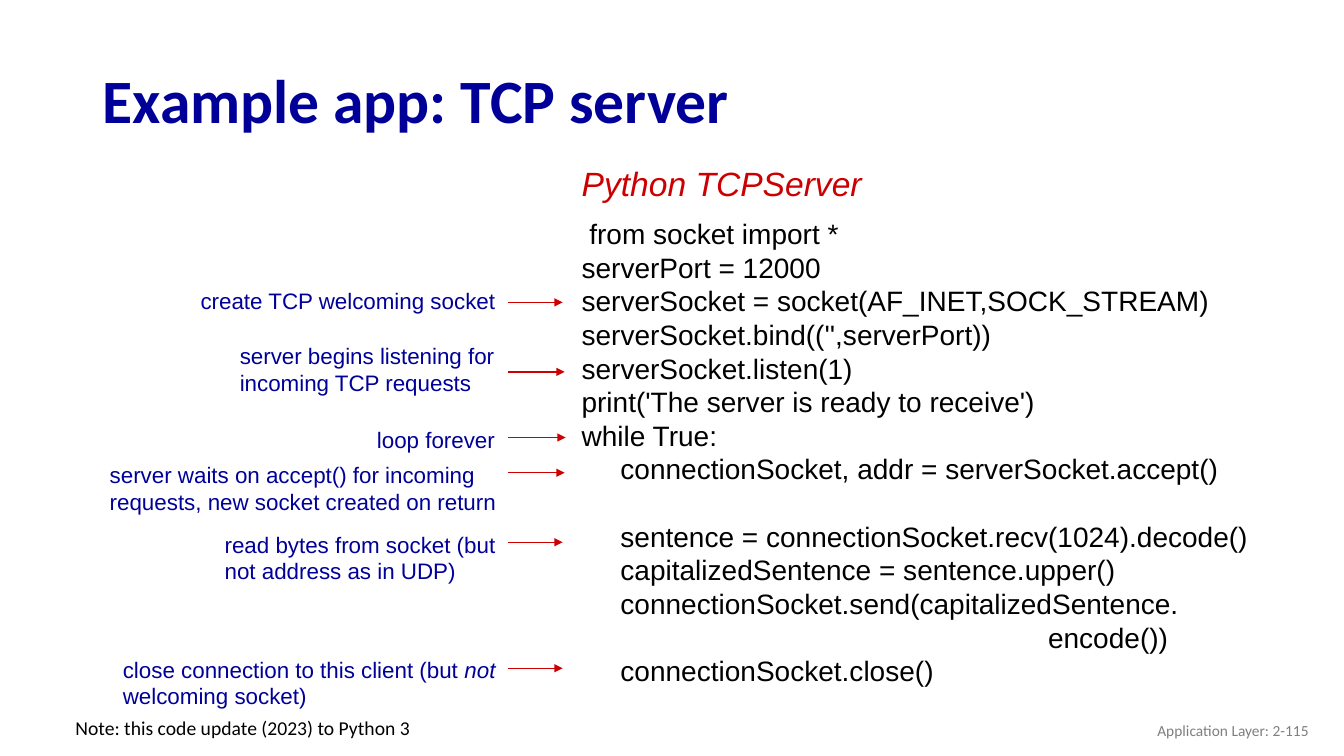
from dataclasses import dataclass

from lxml.etree import SubElement
from pptx import Presentation
from pptx.dml.color import RGBColor as RGB
from pptx.enum.shapes import MSO_CONNECTOR as Link
from pptx.enum.text import MSO_ANCHOR as Anchor, PP_ALIGN as Align
from pptx.oxml.ns import qn
from pptx.util import Inches, Pt

TITLE = "Example app: TCP server"
HEAD = "Python TCPServer"
CODE = """ from socket import *
serverPort = 12000
serverSocket = socket(AF_INET,SOCK_STREAM)
serverSocket.bind(('',serverPort))
serverSocket.listen(1)
print('The server is ready to receive')
while True:
     connectionSocket, addr = serverSocket.accept()
     sentence = connectionSocket.recv(1024).decode()
     capitalizedSentence = sentence.upper()
     connectionSocket.send(capitalizedSentence.
                                                            encode())
     connectionSocket.close()"""
GAP_ROW = 7  # the accept() line is followed by one free line

# text runs (every second one italic), left, width, arrow height, rise, arrow end
NOTES = [
    (["create TCP welcoming socket"], 1.89, 3.35, 3.0, 0.2, 5.58),
    (["server begins listening for incoming TCP requests"],
     2.28, 3.14, 3.69, 0.34, 5.6),
    (["loop forever"], 3.64, 2.03, 4.34, 0.16, 5.61),
    (["server waits on accept() for incoming requests, "
      "new socket created on return"], 0.99, 4.67, 4.69, 0.16, 5.6),
    (["read bytes from socket (but not address as in UDP)"],
     2.13, 3.0, 5.38, 0.16, 5.58),
    (["close connection to this client (but ", "not", " welcoming socket)"],
     1.12, 4.27, 6.63, 0.17, 5.58),
]
FOOT = "Note: this code update (2023) to Python 3"
PAGE = "Application Layer: 2-115"


@dataclass(frozen=True)
class Theme:
    blue: str = "000099"
    red: str = "CC0000"
    black: str = "000000"
    gray: str = "7F7F7F"
    body: str = "Arial"
    plain: str = "Calibri"
    title: int = 44
    head: int = 24
    code: int = 20
    note: int = 16
    foot: int = 14
    page: int = 11
    pitch: int = 24
    lead: int = 19


T = Theme()
CODE_X, ARROW_X, FOOT_Y = 5.67, 5.04, 7.05

deck = Presentation()
deck.slide_width, deck.slide_height = Inches(13.33), Inches(7.5)
slide = deck.slides.add_slide(deck.slide_layouts[6])


def write(text, spot, size, color, face=T.body, anchor=Anchor.TOP):
    """Add a text box with one paragraph per line and return its frame."""
    frame = slide.shapes.add_textbox(*map(Inches, spot)).text_frame
    frame.word_wrap = True
    frame.vertical_anchor = anchor
    frame.text = text
    for para in frame.paragraphs:
        style(para.runs[0], size, color, face)
    return frame


def style(run, size, color, face=T.body):
    run.font.size, run.font.name = Pt(size), face
    run.font.color.rgb = RGB.from_string(color)


def arrow(start, end, y):
    line = slide.shapes.add_connector(
        Link.STRAIGHT, *map(Inches, (start, y, end, y)))
    line.line.color.rgb = RGB.from_string(T.red)
    line.line.width = Pt(1)
    SubElement(line.line._get_or_add_ln(), qn("a:tailEnd"), type="triangle")
    SubElement(line._element.spPr, qn("a:effectLst"))


def note(parts, left, width, y, rise, end):
    """Add a remark and the arrow from it to its line of code."""
    spot = left, y - rise, width, 0.37
    para = write(parts[0], spot, T.note, T.blue).paragraphs[0]
    para.line_spacing = Pt(T.lead)
    for i, part in enumerate(parts[1:], 1):
        run = para.add_run()
        run.text = part
        style(run, T.note, T.blue)
        run.font.italic = i % 2 == 1
    arrow(ARROW_X, end, y)


title = write(TITLE, (0.92, 0.49, 11.5, 0.98), T.title, T.blue, T.plain,
              Anchor.MIDDLE)
title.paragraphs[0].runs[0].font.bold = True

code = write(CODE, (CODE_X, 2.1, 7.1, 4.81), T.code, T.black)
for para in code.paragraphs:
    para.line_spacing = Pt(T.pitch)
code.paragraphs[GAP_ROW].space_after = Pt(T.pitch)

head = write(HEAD, (CODE_X, 1.57, 3.09, 0.51), T.head, T.red)
head.paragraphs[0].runs[0].font.italic = True

for item in NOTES:
    note(*item)

page = write(PAGE, (10.08, FOOT_Y, 3, 0.4), T.page, T.gray, T.plain,
             Anchor.MIDDLE)
page.paragraphs[0].alignment = Align.RIGHT
write(FOOT, (0.65, FOOT_Y, 3.56, 0.34), T.foot, T.black, T.plain)

deck.save("out.pptx")
